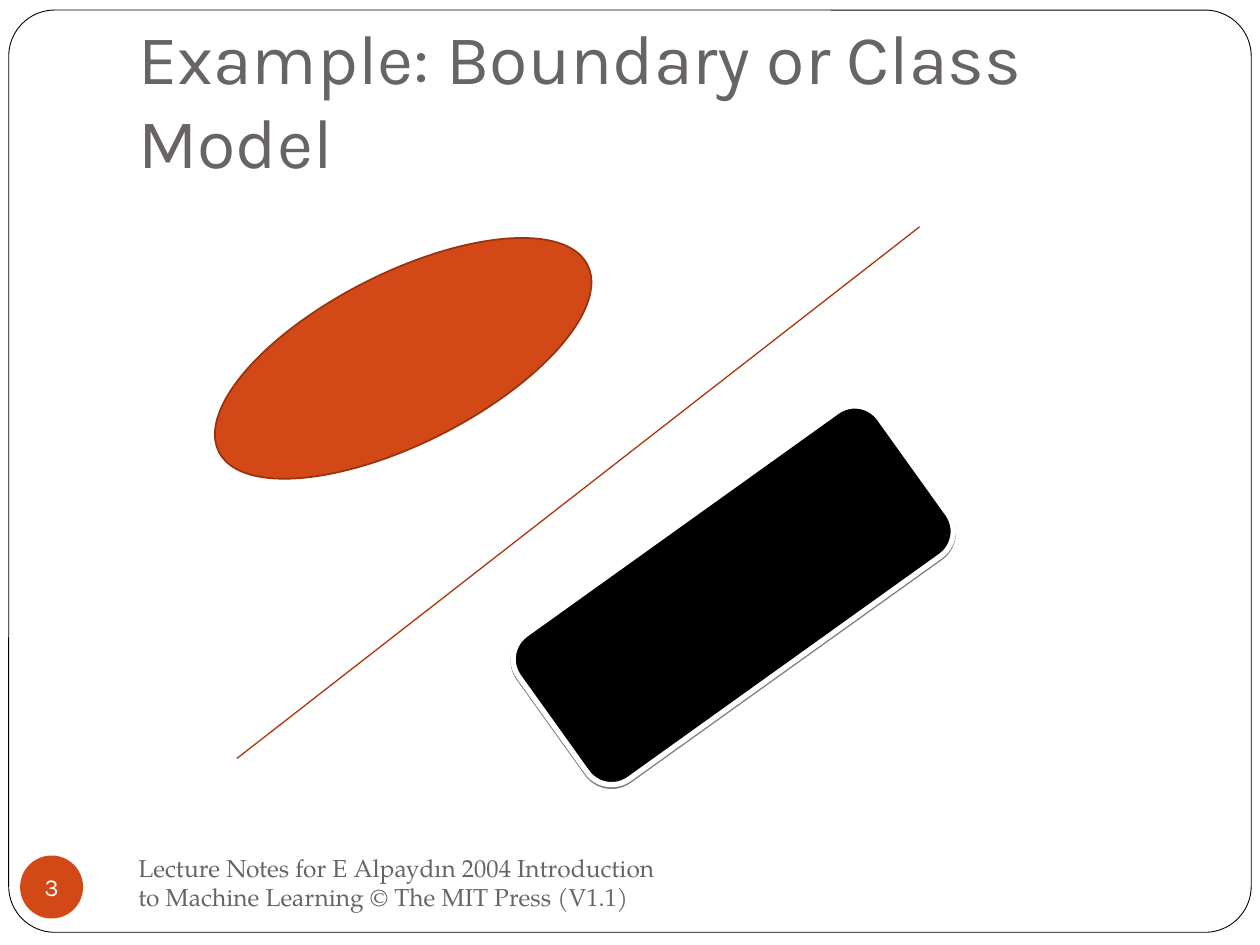
"""Build the slide contrasting a class boundary with class models."""
from lxml import etree
from pptx import Presentation
from pptx.dml import color
from pptx.enum import shapes, text
from pptx.oxml import ns
from pptx.util import Pt

THEME = {
    "paper": "FFFFFF", "ink": "000000", "grey": "696464",
    "accent": "D34817", "accent_edge": "9B320E", "boundary": "AF3408",
    "heading": "Karla", "body": "TeX Gyre Pagella",
    "title_size": 40, "small_size": 14,
}
KIND = shapes.MSO_SHAPE
FRAME = dict(kind=KIND.ROUNDED_RECTANGLE, at=(5, 5.76, 710, 527), fill="paper",
             line=("ink", 0.5), corner=0.05)
BADGE = dict(kind=KIND.OVAL, at=(11.5, 488.9, 36, 36), fill="accent")
FIRST_CLASS = dict(kind=KIND.OVAL, at=(112.3, 156.2, 236.2, 97.2), fill="accent",
                   line=("accent_edge", 1), turn=333.1)
SECOND_CLASS = dict(kind=KIND.ROUNDED_RECTANGLE, at=(292.3, 289.4, 253.4, 101.5),
                    fill="ink", line=("paper", 3), corner=0.17, turn=324.4)
BOUNDARY = (135.4, 433.4, 525.5, 129.6)
TITLE = "Example: Boundary or Class Model"
FOOTER = "Lecture Notes for E Alpaydın 2004 Introduction to Machine Learning © The MIT Press (V1.1)"
NUMBER = "3"


def rgb(name):
    return color.RGBColor.from_string(THEME[name])


def points(values):
    return [Pt(value) for value in values]


def add_form(page, kind, at, fill, line=None, corner=None, turn=0):
    form = page.shapes.add_shape(kind, *points(at))
    form.shadow.inherit = False
    form.rotation = turn
    form.fill.solid()
    form.fill.fore_color.rgb = rgb(fill)
    if corner is not None:
        form.adjustments[0] = corner
    if line:
        form.line.color.rgb = rgb(line[0])
        form.line.width = Pt(line[1])
    else:
        form.line.fill.background()
    return form


def write(box, words, face, size, ink, anchor, insets, wrap=True, align=text.PP_ALIGN.LEFT):
    frame = box.text_frame
    frame.word_wrap = wrap
    frame.vertical_anchor = anchor
    (frame.margin_left, frame.margin_top,
     frame.margin_right, frame.margin_bottom) = points(insets)
    para = frame.paragraphs[0]
    para.text = words
    para.alignment = align
    para.font.name = THEME[face]
    para.font.size = Pt(THEME[size])
    para.font.color.rgb = rgb(ink)


def drop_shadow(form, distance, opacity):
    effects = form._element.spPr.find(ns.qn("a:effectLst"))
    shadow = etree.SubElement(effects, ns.qn("a:outerShdw"), blurRad="0",
                              dist=str(Pt(distance)), dir="5400000", rotWithShape="0")
    tint = etree.SubElement(shadow, ns.qn("a:srgbClr"), val=THEME["ink"])
    etree.SubElement(tint, ns.qn("a:alpha"), val=str(opacity * 1000))


def main():
    deck = Presentation()
    deck.slide_width, deck.slide_height = Pt(720), Pt(540)
    page = deck.slides.add_slide(deck.slide_layouts[6])
    middle = text.MSO_ANCHOR.MIDDLE

    add_form(page, **FRAME)
    title = page.shapes.add_textbox(*points((72, 21.6, 612, 90)))
    write(title, TITLE, "heading", "title_size", "grey", text.MSO_ANCHOR.BOTTOM,
          (7.2, 3.6, 7.2, 7.2))
    footer = page.shapes.add_textbox(*points((72, 486, 312, 36)))
    write(footer, FOOTER, "body", "small_size", "grey", middle, (7.2, 3.6, 7.2, 3.6))
    badge = add_form(page, **BADGE)
    write(badge, NUMBER, "heading", "small_size", "paper", middle, (0, 0, 0, 0),
          wrap=False, align=text.PP_ALIGN.CENTER)

    boundary = page.shapes.add_connector(shapes.MSO_CONNECTOR.STRAIGHT, *points(BOUNDARY))
    boundary.line.color.rgb = rgb("boundary")
    boundary.line.width = Pt(0.75)
    etree.SubElement(boundary._element.spPr, ns.qn("a:effectLst"))

    add_form(page, **FIRST_CLASS)
    drop_shadow(add_form(page, **SECOND_CLASS), distance=1, opacity=50)
    deck.save("out.pptx")


if __name__ == "__main__":
    main()
